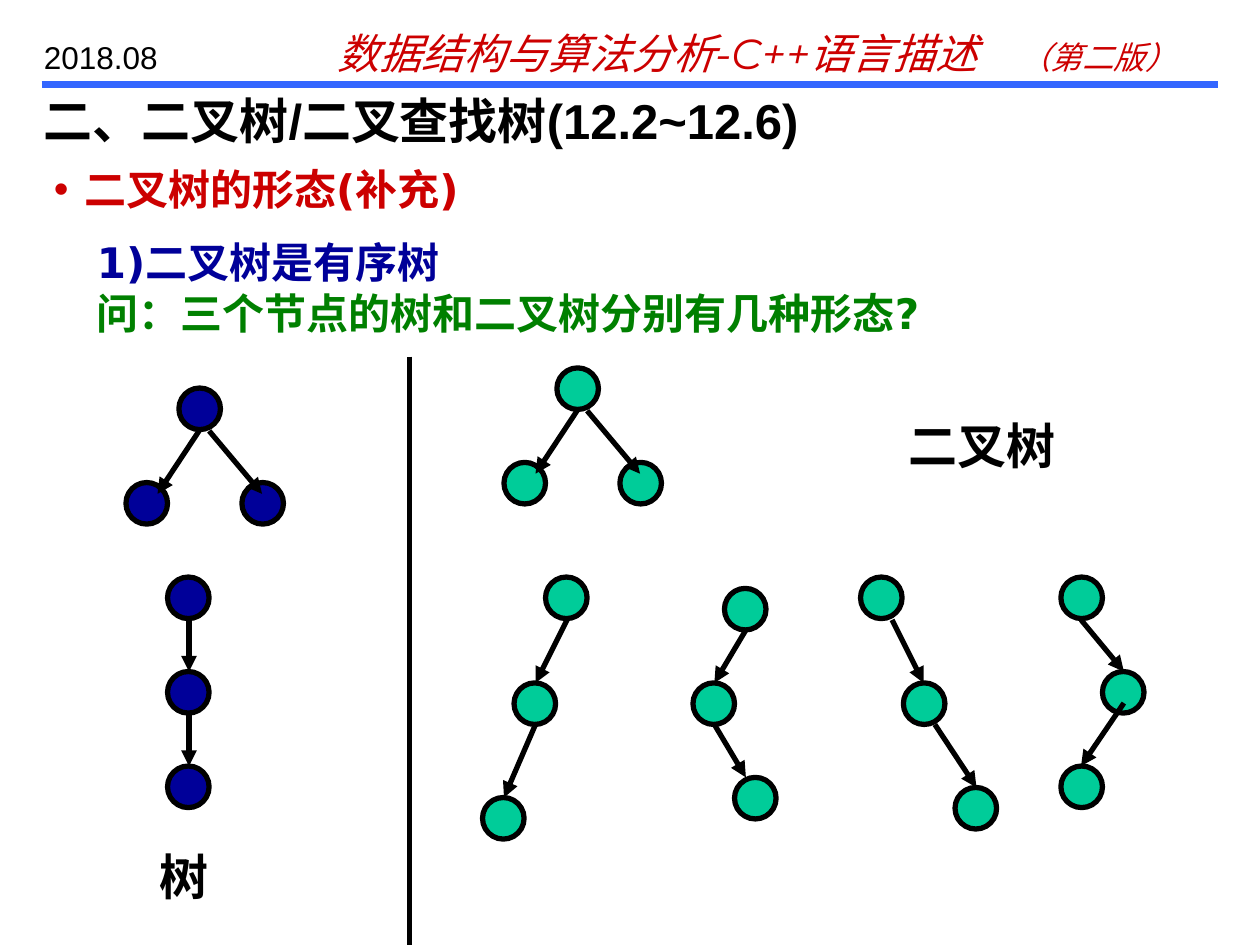
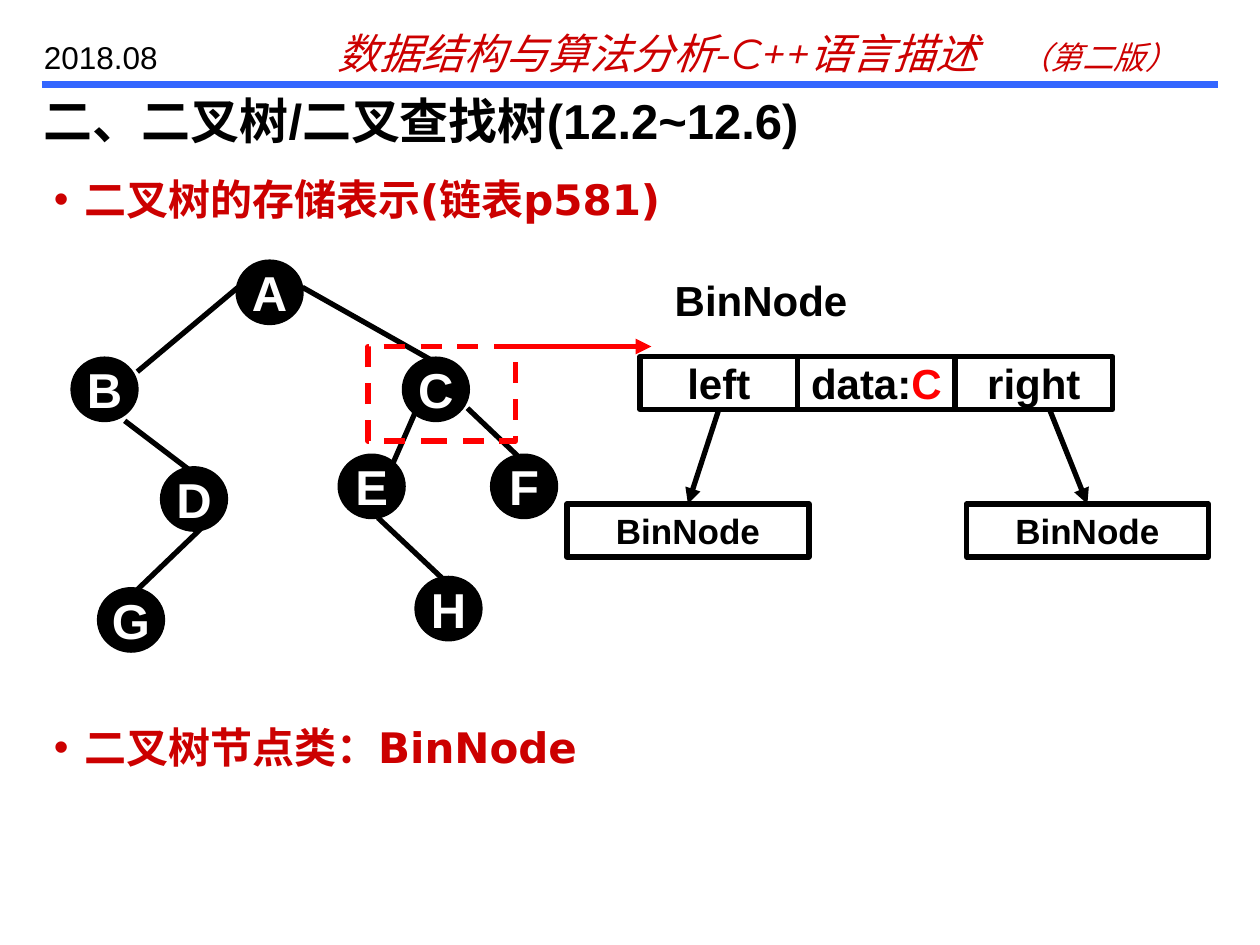
from dataclasses import dataclass, replace
from typing import Optional

from lxml.etree import SubElement
from pptx import Presentation
from pptx.dml.color import RGBColor
from pptx.enum.dml import MSO_LINE
from pptx.enum.shapes import MSO_CONNECTOR, MSO_SHAPE
from pptx.enum.text import MSO_ANCHOR, PP_ALIGN
from pptx.oxml.ns import qn
from pptx.shapes.autoshape import Shape
from pptx.shapes.connector import Connector
from pptx.slide import Slide
from pptx.util import Inches, Pt

COLORS = {
    "black": "000000",
    "white": "FFFFFF",
    "rule": "3366FF",
    "crimson": "CC0000",
    "red": "FF0000",
    "navy": "000099",
    "green": "008000",
    "mint": "00CC99",
}
DOT = 0.33
DISC = (0.5, 0.48)
CELL = (1.25, 0.42)
CARD = (1.92, 0.42)

Point = tuple[float, float]


@dataclass(frozen=True)
class Style:
    size: int
    font: str = "Arial"
    color: str = "black"
    bold: bool = True
    slant: bool = False


@dataclass(frozen=True)
class Run:
    text: str
    style: Style


@dataclass(frozen=True)
class Box:
    left: float
    top: float
    width: float
    height: float


@dataclass(frozen=True)
class Link:
    start: Point
    end: Point


@dataclass(frozen=True)
class Tree:
    color: str
    dots: tuple[Point, ...]
    links: tuple[Link, ...]


@dataclass(frozen=True)
class Node:
    name: str
    left: float
    top: float


HEAD = Style(24, "Montserrat", "crimson", False, True)
POINT = Style(24, "DejaVu Sans", "crimson")
TITLE = Style(28)
LABEL = Style(24)


def tint(name: str) -> RGBColor:
    return RGBColor.from_string(COLORS[name])


def write(shape: Shape, lines: list[list[Run]], align: PP_ALIGN = PP_ALIGN.LEFT) -> None:
    frame = shape.text_frame
    for index, line in enumerate(lines):
        para = frame.add_paragraph() if index else frame.paragraphs[0]
        para.alignment = align
        for part in line:
            run = para.add_run()
            run.text = part.text
            font, style = run.font, part.style
            font.size = Pt(style.size)
            font.name = style.font
            font.bold = style.bold
            font.italic = style.slant
            font.color.rgb = tint(style.color)
            run._r.get_or_add_rPr().append(
                run._r.makeelement(qn("a:ea"), {"typeface": style.font})
            )


def add_text(slide: Slide, box: Box, lines: list[list[Run]],
             align: PP_ALIGN = PP_ALIGN.LEFT) -> Shape:
    shape = slide.shapes.add_textbox(
        Inches(box.left), Inches(box.top), Inches(box.width), Inches(box.height)
    )
    shape.text_frame.word_wrap = True
    write(shape, lines, align)
    return shape


def add_point(slide: Slide, top: float, text: str) -> None:
    shape = add_text(slide, Box(0.33, top, 9.67, 0.5), [[Run(text, POINT)]])
    props = shape.text_frame.paragraphs[0]._p.get_or_add_pPr()
    props.set("marL", str(Inches(0.24)))
    props.set("indent", str(-Inches(0.24)))
    tone = SubElement(props, qn("a:buClr"))
    SubElement(tone, qn("a:srgbClr"), val=COLORS["crimson"])
    SubElement(props, qn("a:buFont"), typeface="Arial")
    SubElement(props, qn("a:buChar"), char="•")


def add_line(slide: Slide, link: Link, color: str = "black",
             width: float = 3, arrow: bool = False) -> Connector:
    ends = [Inches(value) for value in (*link.start, *link.end)]
    line = slide.shapes.add_connector(MSO_CONNECTOR.STRAIGHT, *ends)
    line.line.color.rgb = tint(color)
    line.line.width = Pt(width)
    props = line.element.spPr
    if arrow:
        SubElement(props.find(qn("a:ln")), qn("a:tailEnd"), type="triangle")
    SubElement(props, qn("a:effectLst"))
    return line


def add_form(slide: Slide, kind: MSO_SHAPE, box: Box, fill: Optional[str] = None,
             edge: str = "black", runs: Optional[list[Run]] = None) -> Shape:
    shape = slide.shapes.add_shape(
        kind, Inches(box.left), Inches(box.top), Inches(box.width), Inches(box.height)
    )
    shape.shadow.inherit = False
    if fill:
        shape.fill.solid()
        shape.fill.fore_color.rgb = tint(fill)
    else:
        shape.fill.background()
    shape.line.color.rgb = tint(edge)
    shape.line.width = Pt(3)
    if runs:
        shape.text_frame.word_wrap = False
        shape.text_frame.vertical_anchor = MSO_ANCHOR.MIDDLE
        write(shape, [runs], PP_ALIGN.CENTER)
    return shape


def add_tree(slide: Slide, tree: Tree) -> None:
    for left, top in tree.dots:
        add_form(slide, MSO_SHAPE.OVAL, Box(left, top, DOT, DOT), tree.color)
    for link in tree.links:
        add_line(slide, link, arrow=True)


def make_fork(color: str, left: float, top: float) -> Tree:
    base, low = top + 0.34, top + 0.84
    return Tree(
        color,
        ((left, top), (left - 0.42, top + 0.75), (left + 0.5, top + 0.75)),
        (
            Link((left + 0.16, base), (left - 0.17, low)),
            Link((left + 0.24, base), (left + 0.66, low)),
        ),
    )


def add_frame(deck: Presentation) -> Slide:
    slide = deck.slides.add_slide(deck.slide_layouts[6])
    add_line(slide, Link((0.33, 0.67), (9.67, 0.67)), "rule", 4)
    head = add_text(slide, Box(2.58, 0.17, 7, 0.5), [[
        Run("数据结构与算法分析-C++语言描述", HEAD),
        Run("\t", HEAD),
        Run("（第二版）", replace(HEAD, size=18)),
    ]])
    tabs = SubElement(head.text_frame.paragraphs[0]._p.get_or_add_pPr(), qn("a:tabLst"))
    SubElement(tabs, qn("a:tab"), pos=str(Inches(5.41)), algn="l")
    add_text(slide, Box(0.25, 0.25, 1.42, 0.4), [[Run("2018.08", Style(18, bold=False))]])
    add_text(slide, Box(0.25, 0.67, 9.75, 0.5),
             [[Run("二、二叉树/二叉查找树(12.2~12.6)", TITLE)]])
    return slide


TREES = (
    make_fork("navy", 1.42, 3.08),
    Tree("navy", tuple((1.33, 4.58 + 0.75 * row) for row in range(3)),
         tuple(Link((1.5, top), (1.5, top + 0.41)) for top in (4.92, 5.67))),
    make_fork("mint", 4.42, 2.92),
    Tree("mint", ((4.33, 4.58), (4.08, 5.42), (3.83, 6.33)),
         (Link((4.5, 4.92), (4.25, 5.42)), Link((4.25, 5.75), (4, 6.33)))),
    Tree("mint", ((5.75, 4.67), (5.5, 5.42), (5.83, 6.17)),
         (Link((5.92, 5), (5.67, 5.42)), Link((5.67, 5.75), (5.92, 6.17)))),
    Tree("mint", ((6.83, 4.58), (7.17, 5.42), (7.58, 6.25)),
         (Link((7.08, 4.92), (7.33, 5.42)), Link((7.42, 5.75), (7.75, 6.25)))),
    Tree("mint", ((8.42, 4.58), (8.75, 5.33), (8.42, 6.08)),
         (Link((8.58, 4.92), (8.92, 5.33)), Link((8.92, 5.58), (8.58, 6.08)))),
)

NODES = (
    Node("A", 1.89, 2.08),
    Node("B", 0.58, 2.85),
    Node("C", 3.21, 2.85),
    Node("D", 1.29, 3.72),
    Node("E", 2.7, 3.62),
    Node("F", 3.91, 3.62),
    Node("G", 0.79, 4.68),
    Node("H", 3.31, 4.59),
)

EDGES = (
    Link((1.89, 2.28), (1.09, 2.95)),
    Link((2.4, 2.28), (3.41, 2.85)),
    Link((0.99, 3.34), (1.49, 3.72)),
    Link((3.31, 3.24), (3.1, 3.72)),
    Link((3.71, 3.24), (4.11, 3.62)),
    Link((1.59, 4.2), (1.09, 4.68)),
    Link((3, 4.11), (3.51, 4.59)),
)


def draw_forms(deck: Presentation) -> None:
    slide = add_frame(deck)
    add_point(slide, 1.25, "二叉树的形态(补充)")
    add_text(slide, Box(0.67, 1.83, 9.08, 0.9), [
        [Run("1)二叉树是有序树", replace(POINT, color="navy"))],
        [Run("问：三个节点的树和二叉树分别有几种形态?", replace(POINT, color="green"))],
    ])
    for tree in TREES:
        add_tree(slide, tree)
    add_line(slide, Link((3.25, 2.83), (3.25, 7.5)))
    for text, box in (("树", Box(1.17, 6.67, 0.58, 0.57)),
                      ("二叉树", Box(6.67, 3.25, 2.25, 0.57))):
        add_text(slide, box, [[Run(text, TITLE)]], PP_ALIGN.CENTER)


def draw_store(deck: Presentation) -> None:
    slide = add_frame(deck)
    add_point(slide, 1.33, "二叉树的存储表示(链表p581)")
    for node in NODES:
        add_form(slide, MSO_SHAPE.OVAL, Box(node.left, node.top, *DISC), "black",
                 runs=[Run(node.name, replace(TITLE, color="white"))])
    for edge in EDGES:
        add_line(slide, edge)

    focus = add_form(slide, MSO_SHAPE.RECTANGLE, Box(2.92, 2.75, 1.17, 0.75), edge="red")
    focus.line.dash_style = MSO_LINE.DASH
    add_line(slide, Link((4.08, 2.75), (5.17, 2.75)), "red", arrow=True)

    fields = (
        [Run("left", LABEL)],
        [Run("data:", LABEL), Run("C", replace(LABEL, color="red"))],
        [Run("right", LABEL)],
    )
    cells = [
        add_form(slide, MSO_SHAPE.RECTANGLE, Box(5.08 + CELL[0] * col, 2.83, *CELL), runs=runs)
        for col, runs in enumerate(fields)
    ]
    cards = [
        add_form(slide, MSO_SHAPE.RECTANGLE, Box(left, 4, *CARD),
                 runs=[Run("BinNode", Style(20))])
        for left in (4.5, 7.67)
    ]
    left = add_line(slide, Link((5.75, 3.25), (5.42, 4)), arrow=True)
    right = add_line(slide, Link((8.33, 3.25), (8.67, 4)), arrow=True)
    left.begin_connect(cells[0], 2)
    for line, card in zip((left, right), cards):
        line.end_connect(card, 0)

    name = add_text(slide, Box(5.08, 2.17, *CARD), [[Run("BinNode", LABEL)]], PP_ALIGN.CENTER)
    name.text_frame.vertical_anchor = MSO_ANCHOR.MIDDLE
    add_point(slide, 5.68, "二叉树节点类：BinNode")


def main() -> None:
    deck = Presentation()
    deck.slide_width = Inches(10)
    deck.slide_height = Inches(7.5)
    draw_forms(deck)
    draw_store(deck)
    deck.save("out.pptx")


if __name__ == "__main__":
    main()
